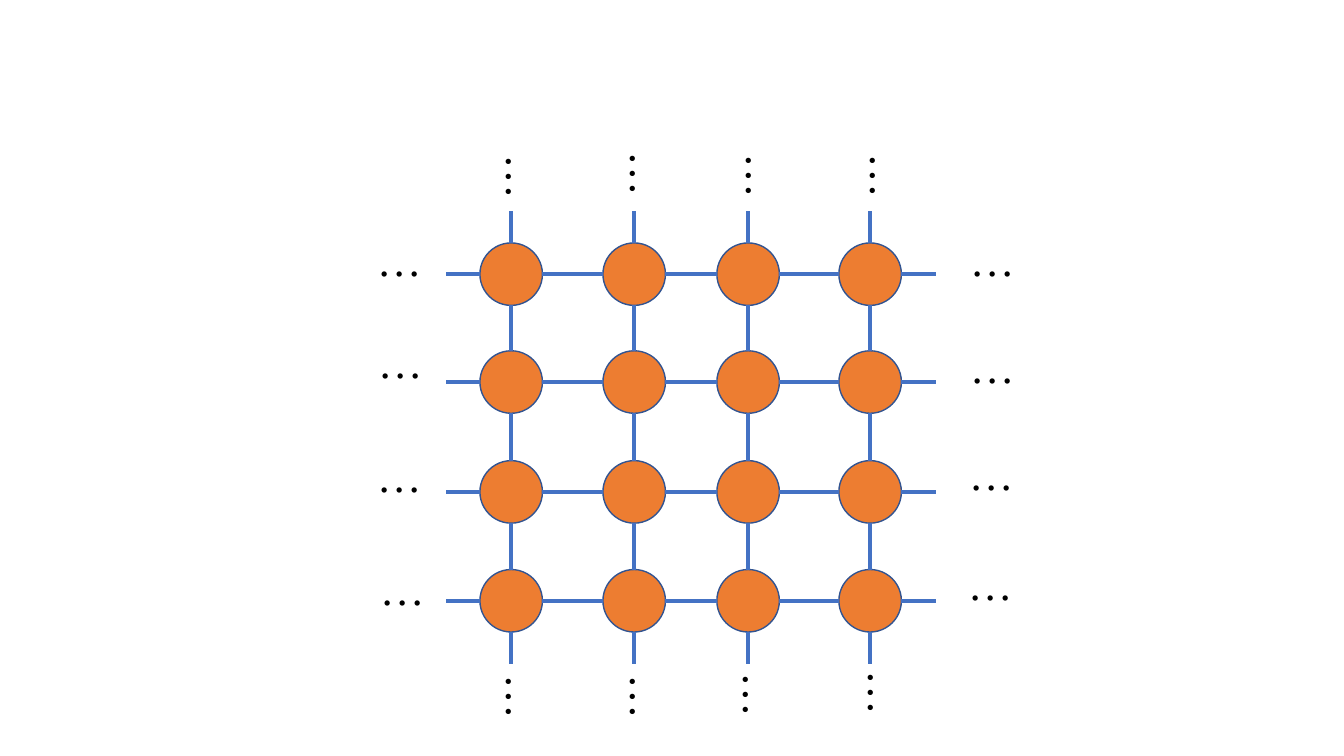
from dataclasses import dataclass
from itertools import product

from lxml.etree import SubElement
from pptx import Presentation
from pptx.dml.color import RGBColor
from pptx.enum.shapes import MSO_CONNECTOR as Connector, MSO_SHAPE as Preset
from pptx.enum.text import MSO_AUTO_SIZE as AutoSize
from pptx.oxml.ns import qn
from pptx.shapes.shapetree import GroupShapes
from pptx.util import Inches, Pt

COLORS = {"site": "ED7D31", "outline": "325491", "bond": "4472C4", "dots": "000000"}
FONT = "Times New Roman"
COLUMNS = (5.07, 6.29, 7.42, 8.63)
ROWS = (2.72, 3.79, 4.88, 5.96)
RADIUS = 0.31
BOND_ENDS = ((-0.65, 0), (0.65, 0), (0, -0.63), (0, 0.63))
DOTS_WIDTH, DOTS_HEIGHT = 0.65, 0.64


@dataclass(frozen=True)
class Site:
    """A lattice site, placed by its centre."""
    x: float
    y: float


@dataclass(frozen=True)
class Continuation:
    """Dots that extend a lattice row or column."""
    left: float
    top: float
    turn: int = 0


def color(part: str) -> RGBColor:
    """Look up the colour of a part."""
    return RGBColor.from_string(COLORS[part])


def draw_bond(lattice: GroupShapes, site: Site, dx: float, dy: float) -> None:
    """Draw a half bond from the rim of a site outwards."""
    reach = abs(dx) + abs(dy)
    rim = RADIUS / reach
    bond = lattice.add_connector(
        Connector.STRAIGHT,
        Inches(site.x + dx * rim), Inches(site.y + dy * rim),
        Inches(site.x + dx), Inches(site.y + dy))
    bond.line.color.rgb = color("bond")
    bond.line.width = Pt(2.75)
    SubElement(bond._element.spPr, qn("a:effectLst"))


def draw_site(lattice: GroupShapes, site: Site) -> None:
    """Draw a site and its four half bonds."""
    disc = lattice.add_shape(
        Preset.OVAL, Inches(site.x - RADIUS), Inches(site.y - RADIUS),
        Inches(2 * RADIUS), Inches(2 * RADIUS))
    disc.shadow.inherit = False
    disc.fill.solid()
    disc.fill.fore_color.rgb = color("site")
    disc.line.color.rgb = color("outline")
    disc.line.width = Pt(1)
    for dx, dy in BOND_ENDS:
        draw_bond(lattice, site, dx, dy)


def draw_continuation(lattice: GroupShapes, place: Continuation) -> None:
    """Write the dots beyond one end of a row or column."""
    dots = lattice.add_textbox(
        Inches(place.left), Inches(place.top), Inches(DOTS_WIDTH), Inches(DOTS_HEIGHT))
    dots.rotation = place.turn
    dots.text_frame.word_wrap = False
    dots.text_frame.auto_size = AutoSize.SHAPE_TO_FIT_TEXT
    run = dots.text_frame.paragraphs[0].add_run()
    run.text = "…"
    run.font.name = FONT
    run.font.size = Pt(32)
    run.font.color.rgb = color("dots")


ROW_ENDS = (
    ((3.64, 2.25), (3.65, 3.26), (3.64, 4.39), (3.67, 5.51)),
    ((9.52, 2.25), (9.52, 3.31), (9.51, 4.37), (9.5, 5.46)),
)
COLUMN_ENDS = (
    ((4.87, 1.44), (6.1, 1.41), (7.25, 1.43), (8.48, 1.43)),
    ((4.87, 6.6), (6.1, 6.6), (7.22, 6.58), (8.46, 6.56)),
)


def main() -> None:
    """Build the square lattice slide."""
    deck = Presentation()
    deck.slide_width, deck.slide_height = Inches(13.33), Inches(7.5)
    slide = deck.slides.add_slide(deck.slide_layouts[6])
    lattice = slide.shapes.add_group_shape().shapes
    for y, x in product(ROWS, COLUMNS):
        draw_site(lattice, Site(x, y))
    for ends, turn in ((ROW_ENDS, 0), (COLUMN_ENDS, 90)):
        for side in ends:
            for left, top in side:
                draw_continuation(lattice, Continuation(left, top, turn))
    deck.save("out.pptx")


main()
